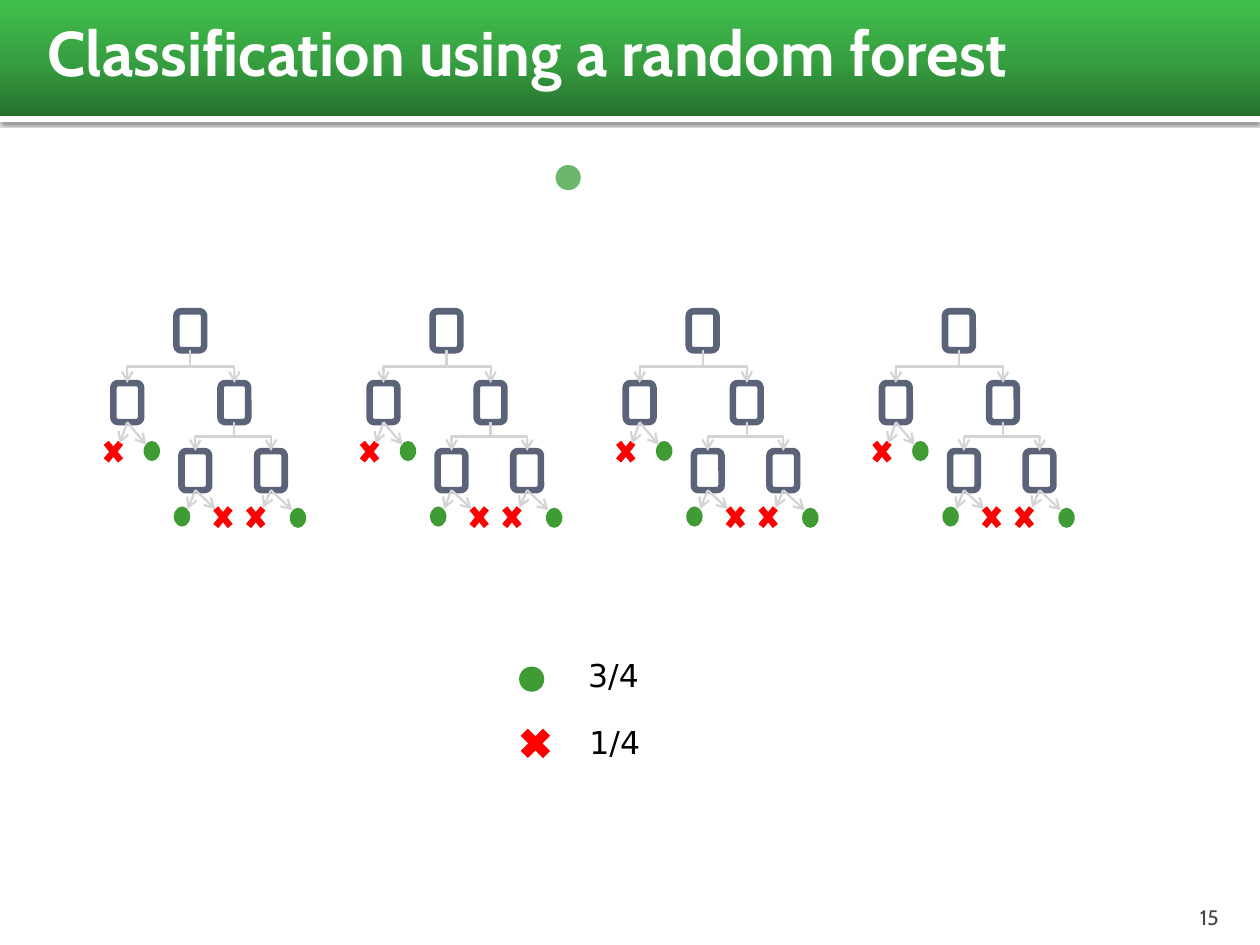
from copy import deepcopy

from lxml import etree
from pptx import Presentation
from pptx.dml.color import RGBColor
from pptx.enum.shapes import MSO_CONNECTOR, MSO_SHAPE
from pptx.enum.text import MSO_ANCHOR, PP_ALIGN
from pptx.oxml.ns import qn
from pptx.util import Inches, Pt

RECT, ROUNDED = MSO_SHAPE.RECTANGLE, MSO_SHAPE.ROUNDED_RECTANGLE
DOT, CROSS = MSO_SHAPE.OVAL, MSO_SHAPE.MATH_MULTIPLY
STRAIGHT, ELBOW = MSO_CONNECTOR.STRAIGHT, MSO_CONNECTOR.ELBOW
TOP, MIDDLE, BOTTOM = MSO_ANCHOR.TOP, MSO_ANCHOR.MIDDLE, MSO_ANCHOR.BOTTOM
LEFT, RIGHT = PP_ALIGN.LEFT, PP_ALIGN.RIGHT

COLORS = {
    "white": "FFFFFF", "black": "000000", "page number": "454545",
    "node": "5A6378", "branch": "D4D4D6", "yes": "3F9C35", "no": "FF0000",
    "sample": "6BB76D", "dark": "26712E", "mid": "37A141", "light": "41BF4D",
}

TREE_COUNT = 4
FIRST_TREE, LAST_TREE = 0.79, 6.89
NODE_W, NODE_H = 0.22, 0.31
# Positions within a tree: x from the tree's left edge, y on the slide
NODES = {
    "root": (0.61, 2.47),
    "left": (0.11, 3.04),
    "right": (0.96, 3.04),
    "right left": (0.65, 3.58),
    "right right": (1.25, 3.58),
}
SPLITS = [("root", "left"), ("root", "right"),
          ("right", "right left"), ("right", "right right")]
NO_LEAVES = [(0, 3.45), (0.87, 3.97), (1.13, 3.97)]
YES_LEAVES = [(0.35, 3.5), (0.59, 4.02), (1.51, 4.03)]
LEAF_BRANCHES = [
    ("left", 0.16, 3.52), ("left", 0.37, 3.53),
    ("right left", 0.7, 4.04), ("right left", 0.92, 4.04),
    ("right right", 1.3, 4.03), ("right right", 1.53, 4.05),
]


def rgb(name):
    return RGBColor.from_string(COLORS[name])


def add_block(shapes, kind, box, fill, outline=None):
    block = shapes.add_shape(kind, *map(Inches, box))
    block.shadow.inherit = False
    block.fill.solid()
    block.fill.fore_color.rgb = rgb(fill)
    if outline:
        block.line.color.rgb = rgb(outline)
        block.line.width = Pt(3.78)
    else:
        block.line.fill.background()
    return block


def add_text(slide, words, box, size, font, color, bold=False, align=LEFT,
             anchor=TOP, wrap=True, spacing=None, insets=(0.1, 0.05, 0.1, 0.05)):
    frame = slide.shapes.add_textbox(*map(Inches, box)).text_frame
    frame.word_wrap = wrap
    frame.vertical_anchor = anchor
    for side, inset in zip(("left", "top", "right", "bottom"), insets):
        setattr(frame, f"margin_{side}", Inches(inset))
    paragraph = frame.paragraphs[0]
    paragraph.alignment = align
    if spacing:
        paragraph.line_spacing = Pt(spacing)
    run = paragraph.add_run()
    run.text = words
    for key, value in {"size": Pt(size), "name": font, "bold": bold}.items():
        setattr(run.font, key, value)
    run.font.color.rgb = rgb(color)


def style_branch(branch):
    branch.line.color.rgb = rgb("branch")
    branch.line.width = Pt(1.25)
    properties = branch._element.spPr
    line = properties.find(qn("a:ln"))
    etree.SubElement(line, qn("a:tailEnd"), type="arrow")
    etree.SubElement(properties, qn("a:effectLst"))


def add_branch(shapes, x1, y1, x2, y2):
    style_branch(shapes.add_connector(STRAIGHT, *map(Inches, (x1, y1, x2, y2))))


def add_split(shapes, x1, y1, x2, y2):
    """Elbow that leaves downwards: a sideways elbow given a quarter turn."""
    half_w, half_h = abs(x2 - x1) / 2, (y2 - y1) / 2
    mid_x, mid_y = (x1 + x2) / 2, (y1 + y2) / 2
    turn, side = (90, -1) if x2 < x1 else (270, 1)
    ends = (mid_x + side * half_h, mid_y - half_w,
            mid_x - side * half_h, mid_y + half_w)
    split = shapes.add_connector(ELBOW, *map(Inches, ends))
    split._element.spPr.find(qn("a:xfrm")).set("rot", str(turn * 60000))
    style_branch(split)


def add_tree(slide, left):
    shapes = slide.shapes.add_group_shape().shapes

    def bottom_of(node):
        x, y = NODES[node]
        return left + x + NODE_W / 2, y + NODE_H

    for x, y in NODES.values():
        add_block(shapes, ROUNDED, (left + x, y, NODE_W, NODE_H), "white", "node")
    for x, y in NO_LEAVES:
        add_block(shapes, CROSS, (left + x, y, 0.22, 0.27), "no")
    for x, y in YES_LEAVES:
        add_block(shapes, DOT, (left + x, y, 0.13, 0.16), "yes")
    for parent, child in SPLITS:
        x, y = NODES[child]
        add_split(shapes, *bottom_of(parent), left + x + NODE_W / 2, y)
    for parent, x, y in LEAF_BRANCHES:
        add_branch(shapes, *bottom_of(parent), left + x, y)


def add_header(slide):
    edge = add_block(slide.shapes, RECT, (0, 0.92, 10, 0.05), "white")
    effects = edge._element.spPr.find(qn("a:effectLst"))
    shadow = etree.SubElement(
        effects, qn("a:outerShdw"), blurRad=str(Pt(2.5)), dist=str(Pt(0.8)),
        dir="5400000", algn="tl", rotWithShape="0")
    tint = etree.SubElement(shadow, qn("a:srgbClr"), val=COLORS["black"])
    etree.SubElement(tint, qn("a:alpha"), val="60000")

    band = add_block(slide.shapes, RECT, (0, 0, 10, 0.92), "mid")
    band.fill.gradient()
    band.fill.gradient_angle = 90
    stops = band._element.spPr.find(f".//{qn('a:gsLst')}")
    stops.insert(1, deepcopy(stops[0]))
    for stop, position, color in zip(band.fill.gradient_stops, (0, 0.5, 1),
                                     ("dark", "mid", "light")):
        stop.position = position
        stop.color.rgb = rgb(color)

    add_text(slide, "Classification using a random forest", (0.28, -0.03, 9.23, 0.87),
             36, "Cabin", "white", bold=True, anchor=MIDDLE,
             insets=(0.1, 0.05, 0.05, 0.05))


def add_votes(slide):
    add_block(slide.shapes, CROSS, (4.08, 5.73, 0.34, 0.34), "no")
    add_block(slide.shapes, DOT, (4.12, 5.29, 0.2, 0.2), "yes")
    for share, x, y in (("3/4", 4.57, 5.21), ("1/4", 4.58, 5.74)):
        add_text(slide, share, (x, y, 0.64, 0.35), 18, "DejaVu Sans", "black",
                 wrap=False, spacing=18)


def main():
    deck = Presentation()
    deck.slide_width, deck.slide_height = Inches(10), Inches(7.5)
    slide = deck.slides.add_slide(deck.slide_layouts[6])
    add_header(slide)
    add_text(slide, "15", (8.97, 7.08, 0.8, 0.3), 12, "Cabin", "page number",
             align=RIGHT, anchor=BOTTOM, spacing=12, insets=(0.1, 0.05, 0.1, 0))
    step = (LAST_TREE - FIRST_TREE) / (TREE_COUNT - 1)
    for index in range(TREE_COUNT):
        add_tree(slide, FIRST_TREE + index * step)
    add_block(slide.shapes, DOT, (4.41, 1.31, 0.2, 0.2), "sample")
    add_votes(slide)
    deck.save("out.pptx")


if __name__ == "__main__":
    main()
